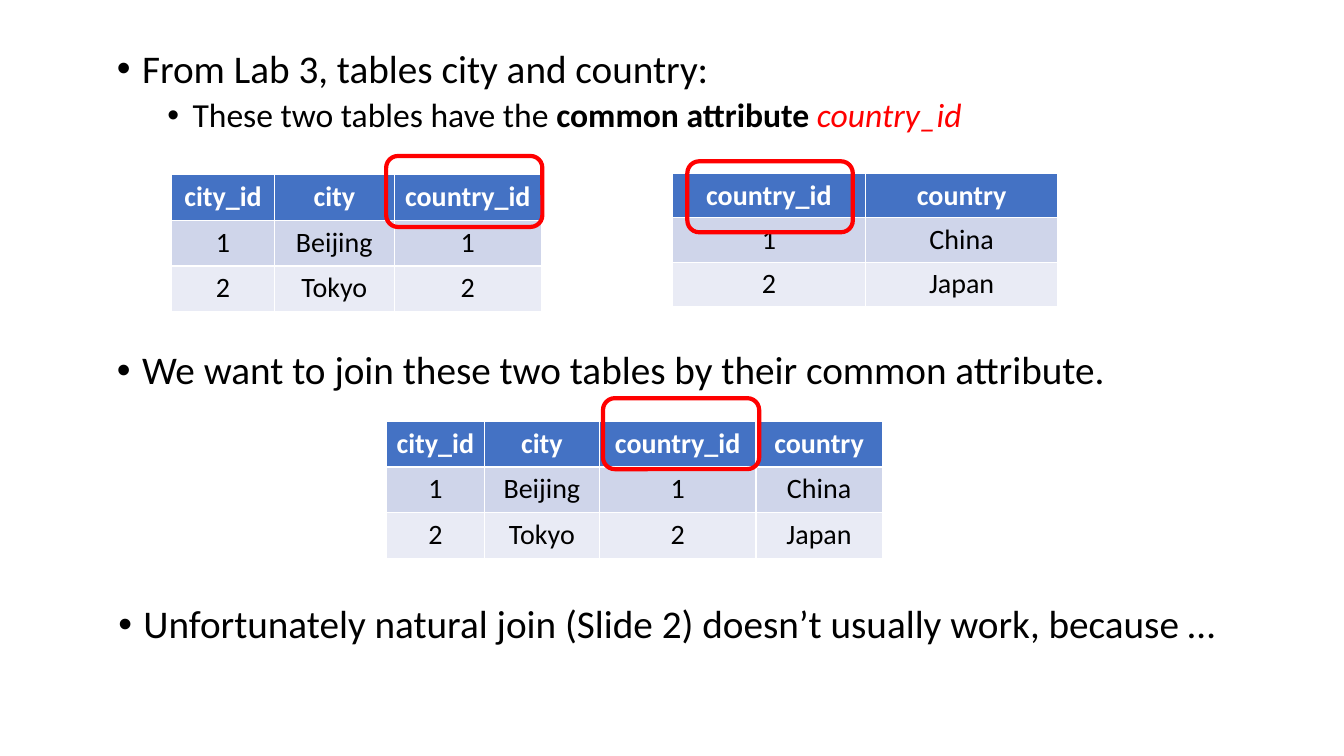
from dataclasses import dataclass

from lxml import etree
from pptx import Presentation
from pptx.dml.color import RGBColor
from pptx.enum import shapes, text
from pptx.oxml.ns import qn
from pptx.slide import Slide
from pptx.util import Pt


@dataclass(frozen=True)
class Theme:
    font: str = "Calibri"
    ink: RGBColor = RGBColor(0x00, 0x00, 0x00)
    accent: RGBColor = RGBColor(0xFF, 0x00, 0x00)
    header_ink: RGBColor = RGBColor(0xFF, 0xFF, 0xFF)
    header_fill: RGBColor = RGBColor(0x44, 0x72, 0xC4)
    bands: tuple[RGBColor, ...] = (RGBColor(0xCF, 0xD5, 0xEA), RGBColor(0xE9, 0xEB, 0xF5))
    level_sizes: tuple[int, ...] = (28, 24)
    cell_size: int = 20
    ring_width: int = 3


THEME = Theme()


@dataclass(frozen=True)
class Phrase:
    words: str
    bold: bool = False
    italic: bool = False
    color: RGBColor = THEME.ink


@dataclass(frozen=True)
class Bullet:
    phrases: tuple[Phrase, ...]
    level: int = 0


@dataclass(frozen=True)
class BulletList:
    left: float
    top: float
    height: float
    bullets: tuple[Bullet, ...]
    width: float = 826


@dataclass(frozen=True)
class Relation:
    left: float
    top: float
    row_height: float
    column_widths: tuple[float, ...]
    rows: tuple[tuple[str, ...], ...]


@dataclass(frozen=True)
class Ring:
    left: float
    top: float
    width: float
    height: float = 50.7


BULLET_LISTS = (
    BulletList(76.3, 31.7, 79.2, (
        Bullet((Phrase("From Lab 3, tables city and country:"),)),
        Bullet((
            Phrase("These two tables have the "),
            Phrase("common attribute ", bold=True),
            Phrase("country_id", italic=True, color=THEME.accent),
        ), level=1),
    )),
    BulletList(76.3, 247, 46, (
        Bullet((Phrase("We want to join these two tables by their common attribute."),)),
    )),
    BulletList(77.3, 428.4, 49, (
        Bullet((Phrase("Unfortunately natural join (Slide 2) doesn’t usually work, because …"),)),
    )),
)

RELATIONS = (
    Relation(122.6, 124.8, 32.6, (73.5, 85.5, 105.2), (
        ("city_id", "city", "country_id"),
        ("1", "Beijing", "1"),
        ("2", "Tokyo", "2"),
    )),
    Relation(480.4, 123.8, 31.2, (137.7, 137.7), (
        ("country_id", "country"),
        ("1", "China"),
        ("2", "Japan"),
    )),
    Relation(276, 301, 32.6, (70, 82.2, 111.8, 90.2), (
        ("city_id", "city", "country_id", "country"),
        ("1", "Beijing", "1", "China"),
        ("2", "Tokyo", "2", "Japan"),
    )),
)

RINGS = (
    Ring(275.8, 111.4, 111.6),
    Ring(491, 115.2, 118.2),
    Ring(430.7, 284.4, 111.6),
)


def add_bullet_mark(paragraph, level: int) -> None:
    properties = paragraph._p.get_or_add_pPr()
    properties.set("marL", str(Pt(18 + 36 * level)))
    properties.set("indent", str(Pt(-18)))
    etree.SubElement(properties, qn("a:buFont"), typeface="Arial")
    etree.SubElement(properties, qn("a:buChar"), char="•")


def fill_list(body, content: BulletList) -> None:
    body.left, body.top = Pt(content.left), Pt(content.top)
    body.width, body.height = Pt(content.width), Pt(content.height)
    frame = body.text_frame
    frame.auto_size = text.MSO_AUTO_SIZE.NONE
    frame.vertical_anchor = text.MSO_ANCHOR.TOP
    for number, bullet in enumerate(content.bullets):
        paragraph = frame.add_paragraph() if number else frame.paragraphs[0]
        paragraph.level = bullet.level
        add_bullet_mark(paragraph, bullet.level)
        paragraph.line_spacing = 0.9
        paragraph.space_before = Pt(5 if number else 0)
        for phrase in bullet.phrases:
            run = paragraph.add_run()
            run.text = phrase.words
            run.font.name = THEME.font
            run.font.size = Pt(THEME.level_sizes[bullet.level])
            run.font.bold, run.font.italic = phrase.bold, phrase.italic
            run.font.color.rgb = phrase.color


def draw_relation(slide: Slide, relation: Relation) -> None:
    row_count, column_count = len(relation.rows), len(relation.column_widths)
    table = slide.shapes.add_table(
        row_count, column_count, Pt(relation.left), Pt(relation.top),
        Pt(sum(relation.column_widths)), Pt(relation.row_height * row_count),
    ).table
    for column, width in zip(table.columns, relation.column_widths):
        column.width = Pt(width)
    for r, values in enumerate(relation.rows):
        table.rows[r].height = Pt(relation.row_height)
        is_header = r == 0
        for c, value in enumerate(values):
            cell = table.cell(r, c)
            cell.fill.solid()
            cell.fill.fore_color.rgb = THEME.header_fill if is_header else THEME.bands[r - 1]
            cell.text_frame.text = value
            paragraph = cell.text_frame.paragraphs[0]
            paragraph.alignment = text.PP_ALIGN.CENTER
            font = paragraph.runs[0].font
            font.name, font.size, font.bold = THEME.font, Pt(THEME.cell_size), is_header
            font.color.rgb = THEME.header_ink if is_header else THEME.ink


def draw_ring(slide: Slide, ring: Ring) -> None:
    outline = slide.shapes.add_shape(
        shapes.MSO_SHAPE.ROUNDED_RECTANGLE,
        Pt(ring.left), Pt(ring.top), Pt(ring.width), Pt(ring.height),
    )
    outline.shadow.inherit = False
    outline.fill.background()
    outline.line.color.rgb = THEME.accent
    outline.line.width = Pt(THEME.ring_width)


def main() -> None:
    presentation = Presentation()
    presentation.slide_width, presentation.slide_height = Pt(960), Pt(540)
    comparison_layout = presentation.slide_layouts[4]
    slide = presentation.slides.add_slide(comparison_layout)
    for idx, content in enumerate(BULLET_LISTS, start=1):
        fill_list(slide.placeholders[idx], content)
    for placeholder in list(slide.placeholders):
        if not placeholder.text_frame.text:
            placeholder.element.getparent().remove(placeholder.element)
    for relation in RELATIONS:
        draw_relation(slide, relation)
    for ring in RINGS:
        draw_ring(slide, ring)
    presentation.save("out.pptx")


if __name__ == "__main__":
    main()
